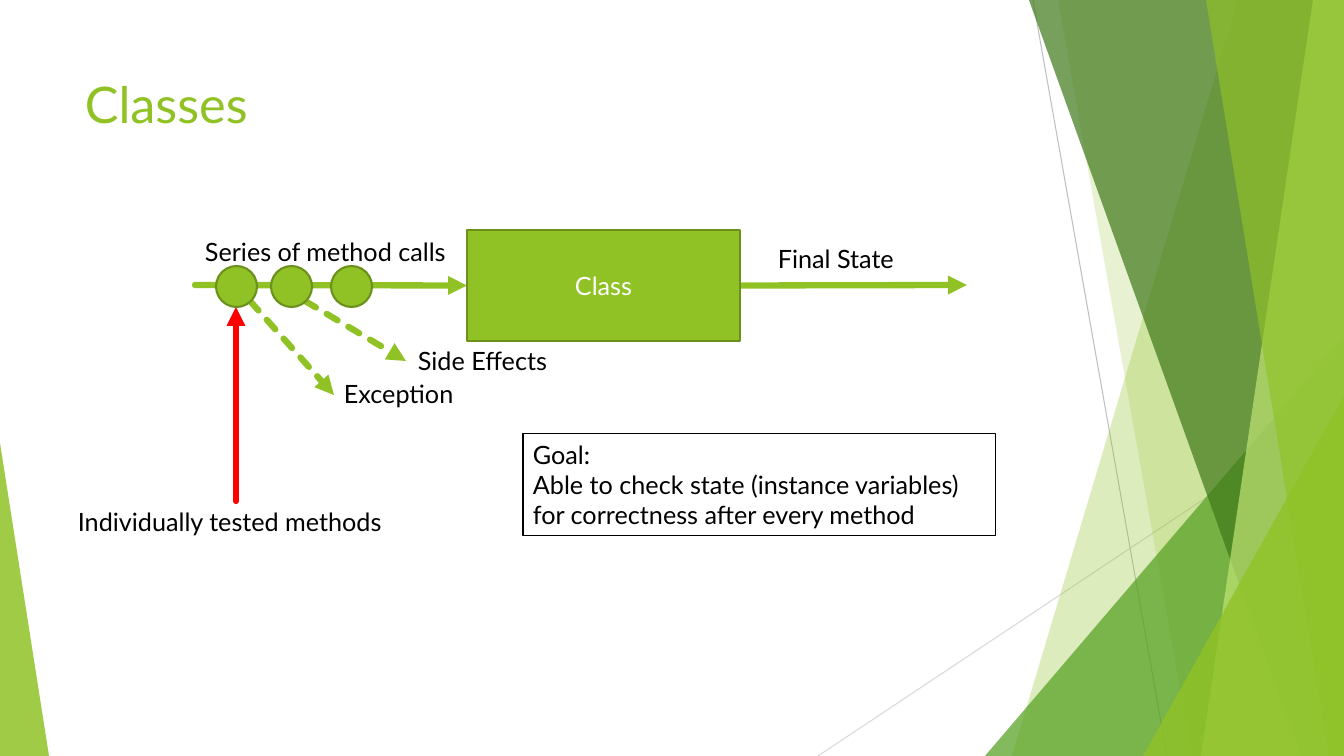
from lxml import etree
from pptx import Presentation
from pptx import util as u
from pptx.dml.color import RGBColor
from pptx.enum import dml, shapes, text
from pptx.oxml.ns import qn

PX = 914400 / 100.8
FONT = "Lato"
COLORS = {
    "green": "90C226", "outline": "6B901C", "leaf": "54A021", "forest": "3F7819",
    "lime": "C0E474", "red": "FF0000", "black": "000000", "white": "FFFFFF",
    "gray": "BFBFBF", "pale gray": "D9D9D9",
}


def paint(shape, fill, opacity=100, line=None, width=1.5):
    """Fill and outline a shape; opacity is a percentage."""
    shape.shadow.inherit = False
    shape.fill.solid()
    shape.fill.fore_color.rgb = RGBColor.from_string(COLORS[fill])
    if opacity < 100:
        color = shape.fill._xPr.find(qn("a:solidFill"))[0]
        etree.SubElement(color, qn("a:alpha"), val=str(opacity * 1000))
    if line:
        shape.line.color.rgb = RGBColor.from_string(COLORS[line])
        shape.line.width = u.Pt(width)
    else:
        shape.line.fill.background()


def write(shape, words, color="black", size=18, align=text.PP_ALIGN.LEFT):
    shape.text_frame.text = words
    for paragraph in shape.text_frame.paragraphs:
        paragraph.alignment = align
        paragraph.font.name = FONT
        paragraph.font.size = u.Pt(size)
        paragraph.font.color.rgb = RGBColor.from_string(COLORS[color])


presentation = Presentation()
presentation.slide_width = round(1344 * PX)
presentation.slide_height = round(756 * PX)
slide = presentation.slides.add_slide(presentation.slide_layouts[6])
items = slide.shapes

# Arrows and thin background lines: start, end, colour, width, dashed, arrowhead
lines = {
    "ray down": ((1033, 0), (1167, 756), "gray", 0.75, False, False),
    "ray up": ((1344, 406), (818, 756), "pale gray", 0.75, False, False),
    "calls": ((195, 285), (467, 285), "green", 4.5, False, True),
    "result": ((740, 285), (967, 285), "green", 4.5, False, True),
    "exception": ((250, 301), (334, 395), "green", 4.5, True, True),
    "side effects": ((305, 301), (406, 361), "green", 4.5, True, True),
    "tested": ((236, 501), (236, 307), "red", 4.5, False, True),
}
connectors = {}
for name, (start, end, color, width, dashed, arrow) in lines.items():
    connector = items.add_connector(
        shapes.MSO_CONNECTOR.STRAIGHT, *(round(v * PX) for v in start + end))
    connector.line.color.rgb = RGBColor.from_string(COLORS[color])
    connector.line.width = u.Pt(width)
    properties = connector._element.spPr
    etree.SubElement(properties, qn("a:effectLst"))
    if dashed:
        connector.line.dash_style = dml.MSO_LINE.SQUARE_DOT
    if arrow:
        outline = properties.find(qn("a:ln"))
        outline.set("cap", "rnd")
        etree.SubElement(outline, qn("a:tailEnd"), type="triangle")
    connectors[name] = connector

# Full-height facets (top x, bottom x) and corner triangles (box, apex)
facets = [
    ((1238, 1012), None, "green", 30),
    ((1058, 1192), None, "green", 20),
    ((985, 336, 359, 420), 1, "leaf", 72),
    ((1029, 1301), None, "forest", 70),
    ((1313, 1201), None, "lime", 70),
    ((1206, 1329), None, "green", 65),
    ((1143, 396, 201, 360), 1, "green", 80),
    ((0, 443, 49, 313), 0, "green", 85),
]
for place, apex, color, opacity in facets:
    if apex is None:
        top, bottom = place
        builder = items.build_freeform(top, 0, scale=PX)
        builder.add_line_segments([(1344, 0), (1344, 756), (bottom, 756)], close=True)
        facet = builder.convert_to_shape()
    else:
        facet = items.add_shape(
            shapes.MSO_SHAPE.ISOSCELES_TRIANGLE, *(round(v * PX) for v in place))
        facet.adjustments[0] = apex
    paint(facet, color, opacity)

class_box = items.add_shape(
    shapes.MSO_SHAPE.RECTANGLE, *(round(v * PX) for v in (467, 230, 273, 111)))
paint(class_box, "green", line="outline")
write(class_box, "Class", "white", align=text.PP_ALIGN.CENTER)
class_box.text_frame.vertical_anchor = text.MSO_ANCHOR.MIDDLE
connectors["calls"].end_connect(class_box, 1)
connectors["result"].begin_connect(class_box, 3)

for left in (216, 271, 331):
    call = items.add_shape(
        shapes.MSO_SHAPE.OVAL, *(round(v * PX) for v in (left, 266, 41, 41)))
    paint(call, "green", line="outline")

labels = [
    ("Series of method calls", 195, 231, 271),
    ("Final State", 768, 238, 143),
    ("Exception", 334, 373, 132),
    ("Side Effects", 408, 340, 154),
    ("Individually tested methods", 68, 501, 337),
]
for words, left, top, width in labels:
    label = items.add_textbox(*(round(v * PX) for v in (left, top, width, 40)))
    write(label, words)
    label.text_frame.word_wrap = True

title = items.add_textbox(*(round(v * PX) for v in (75, 68, 948, 145)))
title.text_frame.word_wrap = True
write(title, "Classes", "green", 36)

goal = items.add_textbox(*(round(v * PX) for v in (523, 434, 473, 102)))
goal.text_frame.word_wrap = True
paint(goal, "white", line="black", width=0.75)
goal.fill.background()
write(goal, "Goal:\nAble to check state (instance variables)\vfor correctness after every method")

presentation.save("out.pptx")
